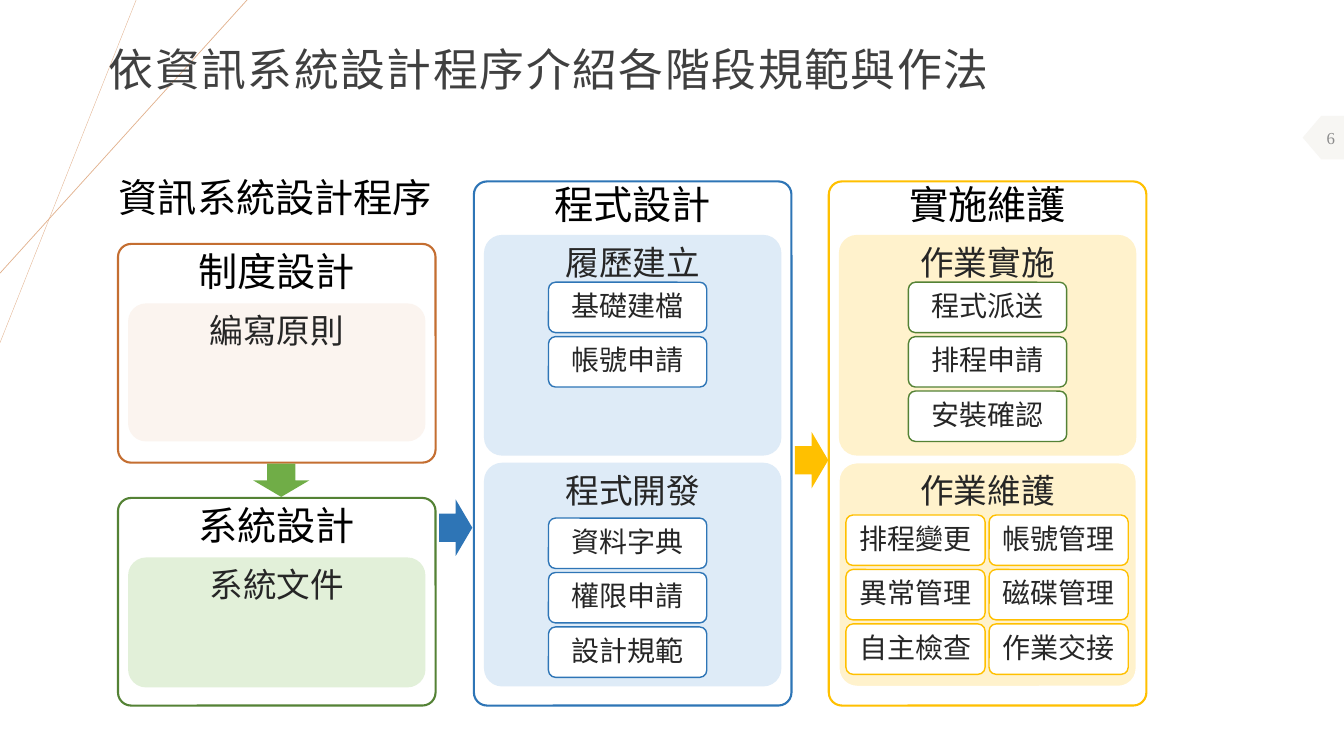
from dataclasses import dataclass
from typing import NamedTuple

from lxml.etree import SubElement
from pptx import Presentation
from pptx.dml.color import RGBColor
from pptx.enum.shapes import MSO_CONNECTOR, MSO_SHAPE
from pptx.enum.text import MSO_ANCHOR, PP_ALIGN
from pptx.oxml.ns import qn
from pptx.util import Inches, Pt


@dataclass(frozen=True)
class Theme:
    """Fonts, colours and type sizes of the slide."""
    latin: str = "Times New Roman"
    asian: str = "Noto Sans CJK SC"
    title_size: int = 32
    heading_size: int = 28
    panel_size: int = 24
    item_size: int = 20
    number_size: int = 12
    black: str = "000000"
    white: str = "FFFFFF"
    title: str = "404040"
    body: str = "262626"
    number: str = "8C8C8C"
    tab: str = "F7F6F3"
    ray: str = "E2B18D"
    orange: str = "C46E31"
    orange_tint: str = "FBF4EF"
    green: str = "548235"
    green_tint: str = "E2F0D9"
    green_arrow: str = "70AD47"
    blue: str = "2E75B6"
    blue_tint: str = "DEEBF7"
    yellow: str = "FFC000"
    yellow_tint: str = "FFF2CC"


class Box(NamedTuple):
    """A rectangle in inches."""
    left: float
    top: float
    width: float
    height: float

    def lengths(self):
        """Return the four values as lengths."""
        return [Inches(value) for value in self]


class Panel(NamedTuple):
    """A tinted area of a stage with a grid of items."""
    name: str
    top: float
    height: float
    rows: tuple = ()
    grid_left: float = 0
    grid_top: float = 0
    item_width: float = 1.57
    item_line: str = ""
    line: str = ""


THEME = Theme()
ITEM_HEIGHT, ROW_PITCH, COLUMN_GAP = 0.5, 0.54, 0.04
PANEL_WIDTH = 2.95


def write(shape, text, *, size, color, latin=THEME.latin, align=PP_ALIGN.CENTER,
          anchor=MSO_ANCHOR.TOP, insets=(0.1, 0.05), wrap=True, line_spacing=1.0, tracking=0):
    """Write one formatted paragraph into a shape."""
    frame = shape.text_frame
    frame.word_wrap = wrap
    frame.vertical_anchor = anchor
    frame.margin_left = frame.margin_right = Inches(insets[0])
    frame.margin_top = frame.margin_bottom = Inches(insets[1])
    para = frame.paragraphs[0]
    para.alignment = align
    para.line_spacing = line_spacing
    span = para.add_run()
    span.text = text
    span.font.name = latin
    span.font.size = Pt(size)
    span.font.color.rgb = RGBColor.from_string(color)
    properties = span.font._element
    SubElement(properties, qn("a:ea")).set("typeface", THEME.asian)
    if tracking:
        properties.set("spc", str(tracking))


def add_form(page, kind, box, *, fill="", line="", line_width=1, rotation=0):
    """Add a preset shape with plain fill and outline."""
    shape = page.shapes.add_shape(kind, *box.lengths())
    shape.shadow.inherit = False
    shape.rotation = rotation
    if fill:
        shape.fill.solid()
        shape.fill.fore_color.rgb = RGBColor.from_string(fill)
    else:
        shape.fill.background()
    if line:
        shape.line.color.rgb = RGBColor.from_string(line)
        shape.line.width = Pt(line_width)
    else:
        shape.line.fill.background()
    return shape


def add_rounded(page, box, radius, **look):
    """Add a rounded rectangle with a corner radius in inches."""
    shape = add_form(page, MSO_SHAPE.ROUNDED_RECTANGLE, box, **look)
    shape.adjustments[0] = radius / min(box.width, box.height)
    return shape


def add_backdrop(page, box):
    """Draw the two rays and the page number tab."""
    for across, down, width in ((1.35, 3.4, 0.25), (2.45, 2.71, 0.5)):
        ray = page.shapes.add_connector(
            MSO_CONNECTOR.STRAIGHT, Inches(box.left + across), Inches(box.top),
            Inches(box.left), Inches(box.top + down))
        ray.line.color.rgb = RGBColor.from_string(THEME.ray)
        ray.line.width = Pt(width)
        SubElement(ray._element.spPr, qn("a:effectLst"))
    right = box.left + box.width
    tab = add_form(page, MSO_SHAPE.PENTAGON, Box(right - 0.41, box.top + 1.15, 0.41, 0.43),
                   fill=THEME.tab, rotation=180)
    tab.adjustments[0] = 0.447
    number = page.shapes.add_textbox(*Box(right - 0.74, box.top + 1.14, 0.75, 0.46).lengths())
    write(number, "6", size=THEME.number_size, color=THEME.number,
          align=PP_ALIGN.RIGHT, anchor=MSO_ANCHOR.MIDDLE)


def add_titles(page, box):
    """Place the slide title and the heading of the process."""
    title = page.shapes.add_textbox(*Box(box.left, box.top, box.width, 0.98).lengths())
    write(title, "依資訊系統設計程序介紹各階段規範與作法", size=THEME.title_size,
          color=THEME.title, latin=THEME.asian, align=PP_ALIGN.LEFT,
          anchor=MSO_ANCHOR.MIDDLE, line_spacing=0.9, tracking=110)
    heading = page.shapes.add_textbox(*Box(box.left + 0.1, box.top + 1.45, 3.34, 0.57).lengths())
    write(heading, "資訊系統設計程序", size=THEME.heading_size, color=THEME.black,
          latin=THEME.asian, align=PP_ALIGN.LEFT, wrap=False)


def add_panel(page, box, panel, tint):
    """Draw a panel and its grid of items."""
    area = add_rounded(page, box, 0.18, fill=tint, line=panel.line)
    write(area, panel.name, size=THEME.panel_size, color=THEME.body,
          insets=(0.12, 0.06), line_spacing=0.9)
    for row, names in enumerate(panel.rows):
        for column, name in enumerate(names):
            place = Box(box.left + panel.grid_left + column * (panel.item_width + COLUMN_GAP),
                        box.top + panel.grid_top + row * ROW_PITCH,
                        panel.item_width, ITEM_HEIGHT)
            item = add_rounded(page, place, 0.07, fill=THEME.white, line=panel.item_line)
            write(item, name, size=THEME.item_size, color=THEME.body,
                  anchor=MSO_ANCHOR.MIDDLE, insets=(0.05, 0.05), line_spacing=0.9)


def add_stage(page, box, name, line, tint, panels, line_spacing=1.0):
    """Draw one stage of the process with its panels."""
    frame = add_rounded(page, box, 0.13, line=line, line_width=1.5)
    write(frame, name, size=THEME.heading_size, color=THEME.black,
          insets=(0.15, 0), line_spacing=line_spacing)
    left = box.left + (box.width - PANEL_WIDTH) / 2
    for panel in panels:
        add_panel(page, Box(left, box.top + panel.top, PANEL_WIDTH, panel.height), panel, tint)


def add_process(page, box):
    """Place the four stages and the arrows between them."""
    width, bottom = 3.15, box.top + box.height
    middle, right = box.left + 3.53, box.left + 7.05
    add_stage(page, Box(box.left, box.top + 0.62, width, 2.17), "制度設計",
              THEME.orange, THEME.orange_tint, [Panel("編寫原則", 0.59, 1.37)])
    add_stage(page, Box(box.left, bottom - 2.06, width, 2.06), "系統設計",
              THEME.green, THEME.green_tint, [Panel("系統文件", 0.59, 1.29)])
    add_stage(page, Box(middle, box.top, width, box.height), "程式設計",
              THEME.blue, THEME.blue_tint, [
                  Panel("履歷建立", 0.53, 2.19, (("基礎建檔",), ("帳號申請",)),
                        0.64, 0.47, item_line=THEME.blue),
                  Panel("程式開發", 2.79, 2.22, (("資料字典",), ("權限申請",), ("設計規範",)),
                        0.64, 0.55, item_line=THEME.blue)], 0.9)
    add_stage(page, Box(right, box.top, width, box.height), "實施維護",
              THEME.yellow, THEME.yellow_tint, [
                  Panel("作業實施", 0.53, 2.19, (("程式派送",), ("排程申請",), ("安裝確認",)),
                        0.69, 0.47, item_line=THEME.green),
                  Panel("作業維護", 2.79, 2.22,
                        (("排程變更", "帳號管理"), ("異常管理", "磁碟管理"), ("自主檢查", "作業交接")),
                        0.07, 0.52, 1.38, THEME.yellow, THEME.white)], 0.9)
    for left, top, rotation, color in ((1.34, 2.8, 0, THEME.green_arrow),
                                       (3.07, 3.27, 270, THEME.blue),
                                       (6.6, 2.6, 270, THEME.yellow)):
        add_form(page, MSO_SHAPE.DOWN_ARROW, Box(box.left + left, box.top + top, 0.56, 0.33),
                 fill=color, rotation=rotation)


def main():
    """Build and save the deck."""
    deck = Presentation()
    deck.slide_width, deck.slide_height = Inches(13.33), Inches(7.5)
    page = deck.slides.add_slide(deck.slide_layouts[6])
    add_backdrop(page, Box(0, 0, 13.33, 7.5))
    add_titles(page, Box(0.98, 0.22, 10.2, 2.02))
    add_process(page, Box(1.17, 1.8, 10.2, 5.2))
    deck.save("out.pptx")


if __name__ == "__main__":
    main()
